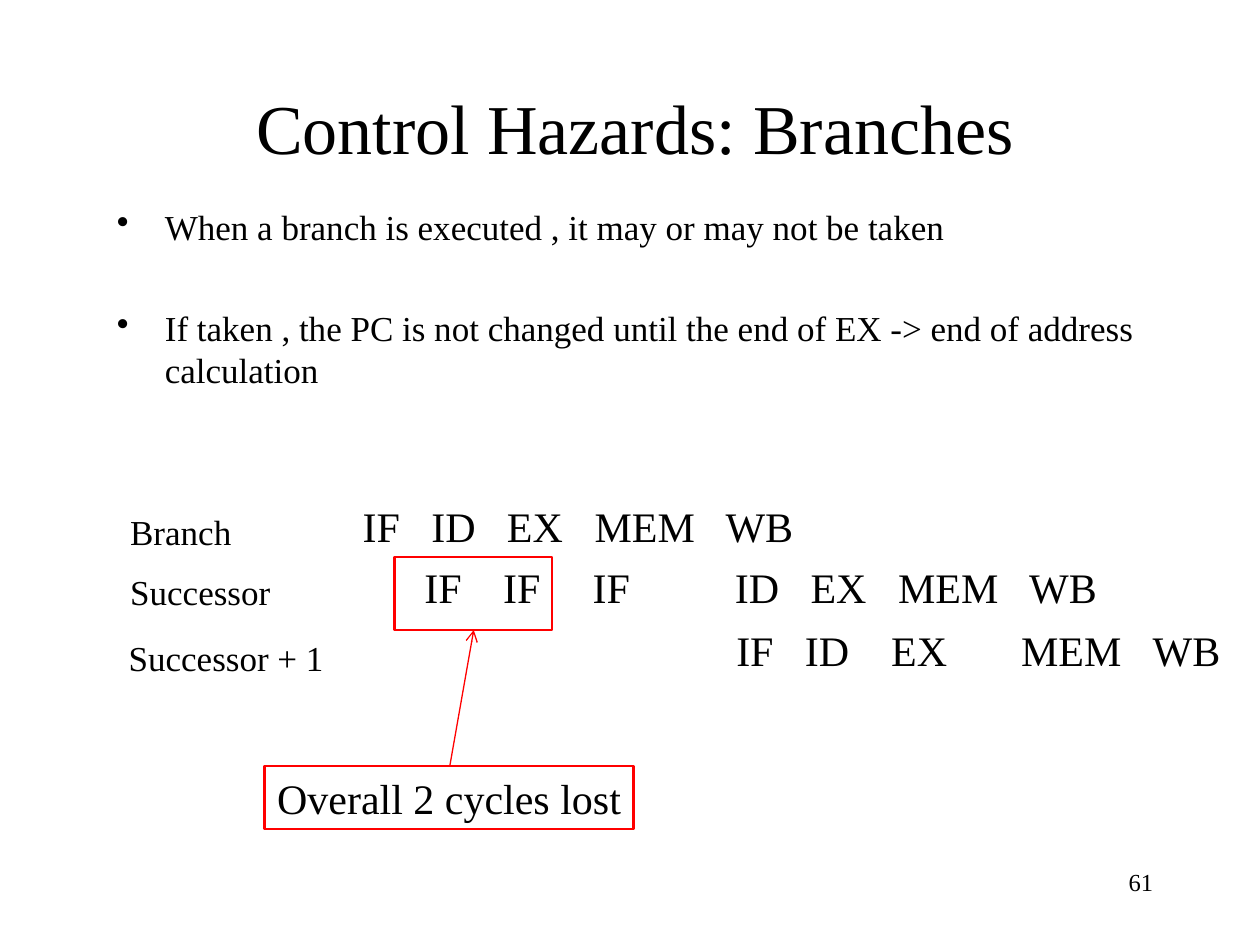
"""Build a slide on the cycles that a taken branch costs in a pipeline."""
from dataclasses import dataclass

from lxml import etree
from pptx import Presentation, util as u
from pptx.dml.color import RGBColor
from pptx.enum import shapes, text
from pptx.oxml import ns

COLUMNS, ROWS = 100, 75
FONT = "Times New Roman"
COLORS = {"ink": "000000", "accent": "FF0000"}
INSET = 1

deck = Presentation()
deck.slide_width, deck.slide_height = u.Inches(10), u.Inches(7.5)
page = deck.slides.add_slide(deck.slide_layouts[6])


@dataclass
class Area:
    left: float
    top: float
    width: float
    height: float

    def emu(self) -> tuple[int, int, int, int]:
        return across(self.left), down(self.top), across(self.width), down(self.height)


@dataclass
class Instruction:
    name: str
    label: Area
    timeline: Area
    stages: list[str]
    starts: list[float]


def across(columns: float) -> int:
    return round(deck.slide_width * columns / COLUMNS)


def down(rows: float) -> int:
    return round(deck.slide_height * rows / ROWS)


def color(name: str) -> RGBColor:
    return RGBColor.from_string(COLORS[name])


def add_child(parent, tag: str, **attributes: str):
    return etree.SubElement(parent, ns.qn(tag), attributes)


def write(box, words: str, *, size: float, align=text.PP_ALIGN.LEFT,
          anchor=text.MSO_ANCHOR.TOP, wrap: bool = True, bullet: bool = False,
          gap: float = 0, tabs: tuple = ()) -> None:
    frame = box.text_frame
    frame.word_wrap, frame.vertical_anchor = wrap, anchor
    if not wrap:
        frame.auto_size = text.MSO_AUTO_SIZE.SHAPE_TO_FIT_TEXT
    for index, line in enumerate(words.split("\n")):
        para = frame.add_paragraph() if index else frame.paragraphs[0]
        para.alignment = align
        if index:
            para.space_before = u.Pt(gap)
        properties = para._p.get_or_add_pPr()
        if bullet:
            indent = across(3.8)
            properties.set("marL", str(indent))
            properties.set("indent", str(-indent))
            add_child(properties, "a:buChar", char="•")
        if tabs:
            stops = add_child(properties, "a:tabLst")
            for stop in tabs:
                add_child(stops, "a:tab", pos=str(across(stop)), algn="l")
        span = para.add_run()
        span.text = line
        span.font.name, span.font.size = FONT, u.Pt(size)
        span.font.color.rgb = color("ink")


def add_text(area: Area, words: str, **style) -> None:
    write(page.shapes.add_textbox(*area.emu()), words, **style)


def add_frame(area: Area):
    box = page.shapes.add_shape(shapes.MSO_SHAPE.RECTANGLE, *area.emu())
    box.shadow.inherit = False
    box.fill.background()
    box.line.color.rgb, box.line.width = color("accent"), u.Pt(1.5)
    return box


def add_arrow(start: tuple[float, float], end: tuple[float, float]) -> None:
    arrow = page.shapes.add_connector(
        shapes.MSO_CONNECTOR.STRAIGHT,
        across(start[0]), down(start[1]), across(end[0]), down(end[1]))
    arrow.line.color.rgb, arrow.line.width = color("accent"), u.Pt(0.75)
    add_child(arrow.line._get_or_add_ln(), "a:tailEnd", type="arrow")
    add_child(arrow._element.spPr, "a:effectLst")


def add_instruction(item: Instruction) -> None:
    origin = item.timeline.left + INSET
    stops = tuple(start - origin for start in item.starts if start - origin > 0.5)
    lead = "\t" * (len(stops) - len(item.stages) + 1)
    add_text(item.timeline, lead + "\t".join(item.stages), size=24, tabs=stops)
    add_text(item.label, item.name, size=20, align=text.PP_ALIGN.CENTER, wrap=False)


INSTRUCTIONS = [
    Instruction("Branch", Area(9.2, 40, 10.3, 4.4), Area(27.8, 39.2, 36.2, 5),
                ["IF", "ID", "EX", "MEM", "WB"], [28.8, 34.25, 40.25, 47.2, 57.6]),
    Instruction("Successor", Area(9.3, 44.8, 13.2, 4.4), Area(32.7, 44.1, 56.3, 5),
                ["IF", "IF", "IF", "ID", "EX", "MEM", "WB"],
                [33.7, 39.95, 47.05, 58.35, 64.35, 71.3, 81.7]),
    Instruction("Successor + 1", Area(9.2, 50, 17.5, 4.4), Area(45.8, 49.1, 52.9, 5),
                ["IF", "ID", "EX", "MEM", "WB"], [58.45, 63.9, 70.75, 81.05, 91.5]),
]
POINTS = ("When a branch is executed , it may or may not be taken\n"
          "If taken , the PC is not changed until the end of EX -> end of address calculation")


def main() -> None:
    add_text(Area(71.7, 68.3, 20.8, 5), "61", size=14, align=text.PP_ALIGN.RIGHT)
    add_text(Area(7.5, 6.7, 85.8, 6.7), "Control Hazards: Branches", size=40,
             align=text.PP_ALIGN.CENTER, anchor=text.MSO_ANCHOR.MIDDLE)
    add_text(Area(8.3, 15.8, 85.8, 20), POINTS, size=20, bullet=True, gap=34)
    for item in INSTRUCTIONS:
        add_instruction(item)
    write(add_frame(Area(21, 60.8, 29.3, 5)), "Overall 2 cycles lost", size=24,
          align=text.PP_ALIGN.CENTER, wrap=False)
    add_frame(Area(31.3, 44.2, 12.5, 5.8))
    add_arrow((35.7, 60.8), (37.6, 50))
    deck.save("out.pptx")


if __name__ == "__main__":
    main()
